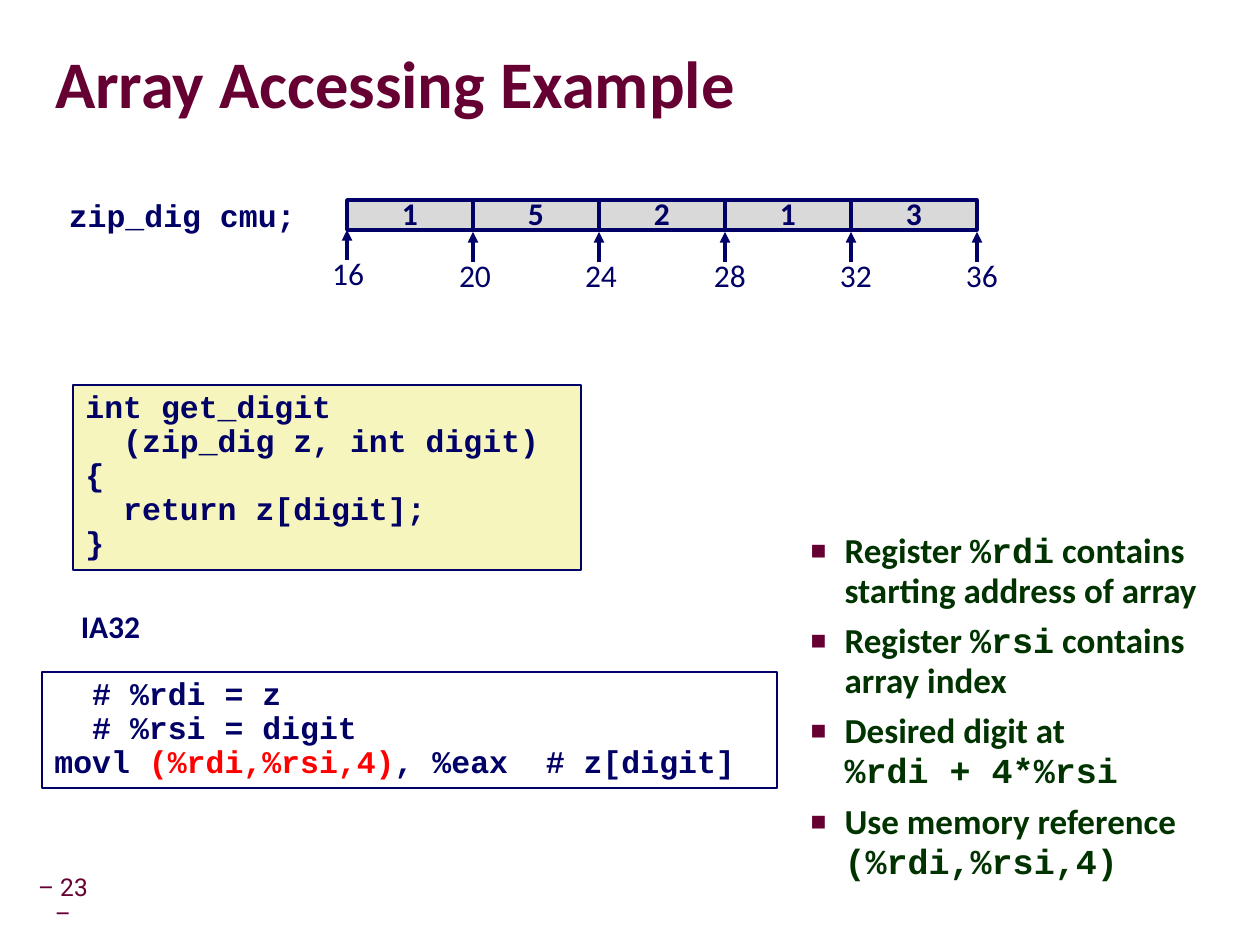
"""Build the slide on array accessing: memory row, C code, assembly and notes."""
from lxml import etree
from pptx import Presentation
from pptx import util as u
from pptx.dml.color import RGBColor
from pptx.enum import shapes, text
from pptx.oxml.ns import qn

C = {"navy": "000066", "maroon": "660033", "green": "003300", "red": "FF0000",
     "cell": "D9D9D9", "code": "F6F5BD", "shadow": "808080"}
SANS, MONO = "Calibri", "Courier New"
LEFT, CENTER, RIGHT = text.PP_ALIGN.LEFT, text.PP_ALIGN.CENTER, text.PP_ALIGN.RIGHT
TOP, MIDDLE = text.MSO_ANCHOR.TOP, text.MSO_ANCHOR.MIDDLE

TITLE = "Array Accessing Example"
DIGITS = ["1", "5", "2", "1", "3"]
ADDRESSES = [("16", 1, -2, 92), ("20", 2, 0, 136), ("24", 2, 0, 136),
             ("28", 5, 0, 136), ("32", 5, 0, 136), ("36", 5, 0, 136)]
C_CODE = ["int get_digit", "  (zip_dig z, int digit)", "{", "  return z[digit];", "}"]
ASSEMBLY = [
    [("  # %rdi = z", "navy")],
    [("  # %rsi = digit", "navy")],
    [("movl ", "navy"), ("(%rdi,%rsi,4)", "red"), (", %eax  # z[digit]", "navy")],
]
NOTES = [
    [("Register ", SANS), ("%rdi", MONO), (" contains starting address of array", SANS)],
    [("Register ", SANS), ("%rsi", MONO), (" contains array index", SANS)],
    [("Desired digit at", SANS), ("\n", SANS), ("%rdi + 4*%rsi", MONO)],
    [("Use memory reference ", SANS), ("(%rdi,%rsi,4)", MONO)],
]
ROW_X, ROW_Y, CELL_W, CELL_H = 347, 200, 126, 30


def px(n):
    return u.Inches(n / 126)


def rgb(name):
    return RGBColor.from_string(C[name])


def add_run(p, words, size, color="navy", font=SANS, bold=True):
    if words == "\n":
        p.add_line_break()
        br = p._p.findall(qn("a:br"))[-1]
        etree.SubElement(br, qn("a:rPr"), sz=str(size * 100))
        return None
    r = p.add_run()
    r.text = words
    r.font.size, r.font.bold, r.font.name = u.Pt(size), bold, font
    r.font.color.rgb = rgb(color)
    return r


def write(sp, lines, size=18, font=SANS, bold=True, align=LEFT, anchor=TOP,
          wrap=True, grow=True):
    tf = sp.text_frame
    tf.word_wrap, tf.vertical_anchor = wrap, anchor
    fit = text.MSO_AUTO_SIZE
    tf.auto_size = fit.SHAPE_TO_FIT_TEXT if grow else fit.NONE
    for i, line in enumerate(lines):
        p = tf.add_paragraph() if i else tf.paragraphs[0]
        p.alignment, p.line_spacing = align, 0.9
        for words, color in line:
            add_run(p, words, size, color, font, bold)


def add_box(parent, x, y, w, h, fill=None, line=1):
    sp = parent.add_shape(shapes.MSO_SHAPE.RECTANGLE, px(x), px(y), px(w), px(h))
    sp.shadow.inherit = False
    if fill:
        sp.fill.solid()
        sp.fill.fore_color.rgb = rgb(fill)
    else:
        sp.fill.background()
    sp.line.color.rgb, sp.line.width = rgb("navy"), u.Pt(line)
    return sp


def add_label(parent, x, y, w, h, words, color="navy", **style):
    sp = parent.add_textbox(px(x), px(y), px(w), px(h))
    write(sp, [[(words, color)]], **style)
    return sp


def add_arrow(parent, x, y1, y2):
    cn = parent.add_connector(shapes.MSO_CONNECTOR.STRAIGHT, px(x), px(y1), px(x), px(y2))
    cn.line.color.rgb, cn.line.width = rgb("navy"), u.Pt(2)
    etree.SubElement(cn.line._get_or_add_ln(), qn("a:tailEnd"), type="triangle")
    etree.SubElement(cn._element.spPr, qn("a:effectLst"))


def place(sp, x, y, w, h):
    sp.left, sp.top, sp.width, sp.height = px(x), px(y), px(w), px(h)
    sp.text_frame.auto_size = text.MSO_AUTO_SIZE.NONE


def add_title(s):
    sp = s.shapes.title
    place(sp, 55, 34, 1201, 107)
    tf = sp.text_frame
    tf.vertical_anchor = MIDDLE
    tf.margin_left = tf.margin_top = tf.margin_right = tf.margin_bottom = 0
    p = tf.paragraphs[0]
    p.alignment, p.line_spacing = LEFT, 0.87
    r = add_run(p, TITLE, 38, "maroon")
    effects = etree.Element(qn("a:effectLst"))
    r._r.rPr.find(qn("a:solidFill")).addnext(effects)
    shadow = etree.SubElement(effects, qn("a:outerShdw"), blurRad="38100",
                              dist="38100", dir="2700000", algn="tl")
    etree.SubElement(shadow, qn("a:srgbClr"), val=C["shadow"])


def add_notes(s):
    sp = s.placeholders[1]
    place(sp, 777, 525, 473, 411)
    for i, line in enumerate(NOTES):
        tf = sp.text_frame
        p = tf.add_paragraph() if i else tf.paragraphs[0]
        pr = p._p.get_or_add_pPr()
        pr.set("marL", str(px(55)))
        pr.set("indent", str(-px(34)))
        color = etree.SubElement(pr, qn("a:buClr"))
        etree.SubElement(color, qn("a:srgbClr"), val=C["maroon"])
        etree.SubElement(pr, qn("a:buSzPct"), val="75000")
        etree.SubElement(pr, qn("a:buChar"), char="■")
        p.line_spacing, p.space_before = 0.95, u.Pt(6 if i else 0)
        for words, font in line:
            add_run(p, words, 20, "green", font)


def add_memory_row(s):
    row = s.shapes.add_group_shape().shapes
    for i, digit in enumerate(DIGITS):
        sp = add_box(row, ROW_X + i * CELL_W, ROW_Y, CELL_W, CELL_H, "cell", 2)
        write(sp, [[(digit, "navy")]], align=CENTER, anchor=MIDDLE, wrap=False, grow=False)
    for i, (address, dx, dy, w) in enumerate(ADDRESSES):
        x = ROW_X + i * CELL_W
        add_arrow(row, x, 262 + dy, 232 + dy)
        add_label(row, x + dx - w / 2, 254 + dy, w, 50, address, bold=False, align=CENTER)


def main():
    prs = Presentation()
    prs.slide_width, prs.slide_height = px(1260), px(945)
    s = prs.slides.add_slide(prs.slide_layouts[1])
    add_label(s.shapes, 30, 882, 66, 39, "– 23 –", "maroon", size=14, font="Roboto",
              bold=False, align=CENTER, anchor=MIDDLE, grow=False)
    number = s.shapes[-1].text_frame
    number.margin_left = number.margin_right = px(6)
    add_title(s)
    add_notes(s)
    code = add_box(s.shapes, 73, 385, 508, 185, "code")
    write(code, [[(line, "navy")] for line in C_CODE], font=MONO)
    write(add_box(s.shapes, 42, 672, 735, 116), ASSEMBLY, font=MONO)
    add_label(s.shapes, 58, 605, 105, 63, "IA32", align=CENTER, wrap=False)
    add_label(s.shapes, 42, 194, 266, 50, "zip_dig cmu;", font=MONO, align=RIGHT)
    add_memory_row(s)
    prs.save("out.pptx")


if __name__ == "__main__":
    main()
